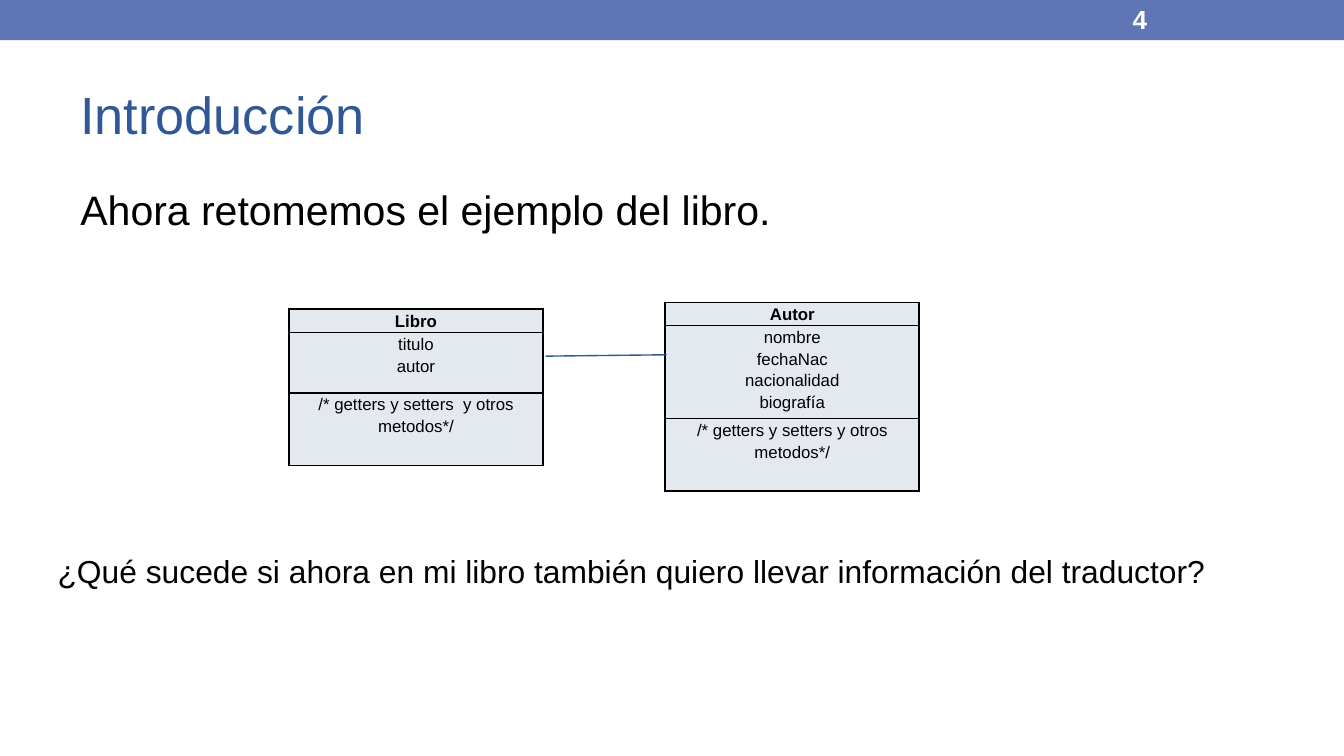
import dataclasses
import typing

import pptx
import pptx.dml.color
import pptx.enum.shapes
import pptx.enum.text
import pptx.oxml
import pptx.oxml.ns
import pptx.util

GRID_COLUMNS, GRID_ROWS = 100, 56.25
CELL = pptx.util.Inches(0.1)
BLUE, BLACK, WHITE, BAR, PANEL = "2F5897", "000000", "FFFFFF", "6076B4", "E4E9EF"
TOP, MIDDLE = pptx.enum.text.MSO_ANCHOR.TOP, pptx.enum.text.MSO_ANCHOR.MIDDLE
SECTION_ROWS = (1.5, 4.5, 5.4)


class Area(typing.NamedTuple):
    column: float
    row: float
    columns: float
    rows: float

    def lengths(self) -> list[int]:
        return [grid(value) for value in self]


@dataclasses.dataclass
class Statement:
    text: str
    area: Area
    size: float
    color: str = BLACK
    bold: bool = False
    anchor: typing.Any = TOP


@dataclasses.dataclass
class UmlClass:
    name: str
    attributes: list[str]
    methods: str
    area: Area


def grid(cells: float) -> int:
    return round(cells * CELL)


def rgb(color: str) -> pptx.dml.color.RGBColor:
    return pptx.dml.color.RGBColor.from_string(color)


def apply(target: typing.Any, formats: dict[str, typing.Any]) -> None:
    for attribute, value in formats.items():
        setattr(target, attribute, value)


def style_font(font: typing.Any, size: float, color: str, bold: bool) -> None:
    apply(font, {"name": "Arial", "size": pptx.util.Pt(size), "bold": bold})
    font.color.rgb = rgb(color)


def draw_bar(slide: typing.Any, area: Area) -> None:
    bar = slide.shapes.add_shape(pptx.enum.shapes.MSO_SHAPE.RECTANGLE, *area.lengths())
    bar.shadow.inherit = False
    bar.fill.solid()
    bar.fill.fore_color.rgb = rgb(BAR)
    bar.line.fill.background()


def draw_statement(slide: typing.Any, statement: Statement) -> None:
    frame = slide.shapes.add_textbox(*statement.area.lengths()).text_frame
    apply(frame, {
        "word_wrap": True,
        "vertical_anchor": statement.anchor,
        "margin_left": grid(1),
        "margin_right": grid(1),
        "margin_top": grid(0.5),
        "margin_bottom": grid(0.5),
    })
    run = frame.paragraphs[0].add_run()
    run.text = statement.text
    style_font(run.font, statement.size, statement.color, statement.bold)


def draw_borders(cell: typing.Any) -> None:
    properties = cell._tc.get_or_add_tcPr()
    for index, side in enumerate(("lnL", "lnR", "lnT", "lnB")):
        properties.insert(index, pptx.oxml.parse_xml(
            f'<a:{side} {pptx.oxml.ns.nsdecls("a")} w="{pptx.util.Pt(1)}">'
            f'<a:solidFill><a:srgbClr val="{BLACK}"/></a:solidFill></a:{side}>'
        ))


def draw_class(slide: typing.Any, uml: UmlClass) -> None:
    diagram = slide.shapes.add_table(len(SECTION_ROWS), 1, *uml.area.lengths())
    table = diagram.table
    apply(table, {"first_row": False, "horz_banding": False})
    sections = [[uml.name], uml.attributes, [uml.methods]]
    for index, (lines, height) in enumerate(zip(sections, SECTION_ROWS)):
        table.rows[index].height = grid(height)
        cell = table.cell(index, 0)
        apply(cell, {
            "margin_left": grid(0.7),
            "margin_right": grid(0.7),
            "margin_top": 0,
            "margin_bottom": 0,
        })
        cell.fill.solid()
        cell.fill.fore_color.rgb = rgb(PANEL)
        draw_borders(cell)
        cell.text = "\n".join(lines)
        for paragraph in cell.text_frame.paragraphs:
            apply(paragraph, {
                "alignment": pptx.enum.text.PP_ALIGN.CENTER,
                "line_spacing": 1.15,
            })
            style_font(paragraph.runs[0].font, 9, BLACK, index == 0)
    diagram.height = grid(uml.area.rows)


def draw_association(slide: typing.Any, *ends: float) -> None:
    association = slide.shapes.add_connector(
        pptx.enum.shapes.MSO_CONNECTOR.STRAIGHT, *map(grid, ends)
    )
    association.line.color.rgb = rgb(BLUE)
    association.line.width = pptx.util.Pt(0.75)
    properties = association._element.spPr
    properties.append(pptx.oxml.parse_xml(f'<a:effectLst {pptx.oxml.ns.nsdecls("a")}/>'))


STATEMENTS = [
    Statement("Introducción", Area(5, 4.4, 90, 8.1), 28, BLUE, anchor=MIDDLE),
    Statement("Ahora retomemos el ejemplo del libro.", Area(5, 13.2, 88.9, 6.6), 22),
    Statement("4", Area(83.3, 0.1, 11.7, 2.7), 14, WHITE, True, MIDDLE),
    Statement(
        "¿Qué sucede si ahora en mi libro también quiero llevar información del traductor?",
        Area(3.3, 40.6, 88.9, 8.1), 17,
    ),
]

CLASSES = [
    UmlClass(
        "Libro", ["titulo", "autor"], "/* getters y setters  y otros metodos*/",
        Area(21.5, 23, 18.9, 12.7),
    ),
    UmlClass(
        "Autor", ["nombre", "fechaNac", "nacionalidad", "biografía"],
        "/* getters y setters y otros metodos*/",
        Area(49.5, 22.5, 18.9, 14),
    ),
]


def main() -> None:
    presentation = pptx.Presentation()
    apply(presentation, {"slide_width": grid(GRID_COLUMNS), "slide_height": grid(GRID_ROWS)})
    slide = presentation.slides.add_slide(presentation.slide_layouts[6])
    draw_bar(slide, Area(0, 0, GRID_COLUMNS, 3))
    for statement in STATEMENTS:
        draw_statement(slide, statement)
    for uml in CLASSES:
        draw_class(slide, uml)
    draw_association(slide, 40.6, 26.5, 49.6, 26.4)
    presentation.save("out.pptx")


if __name__ == "__main__":
    main()
